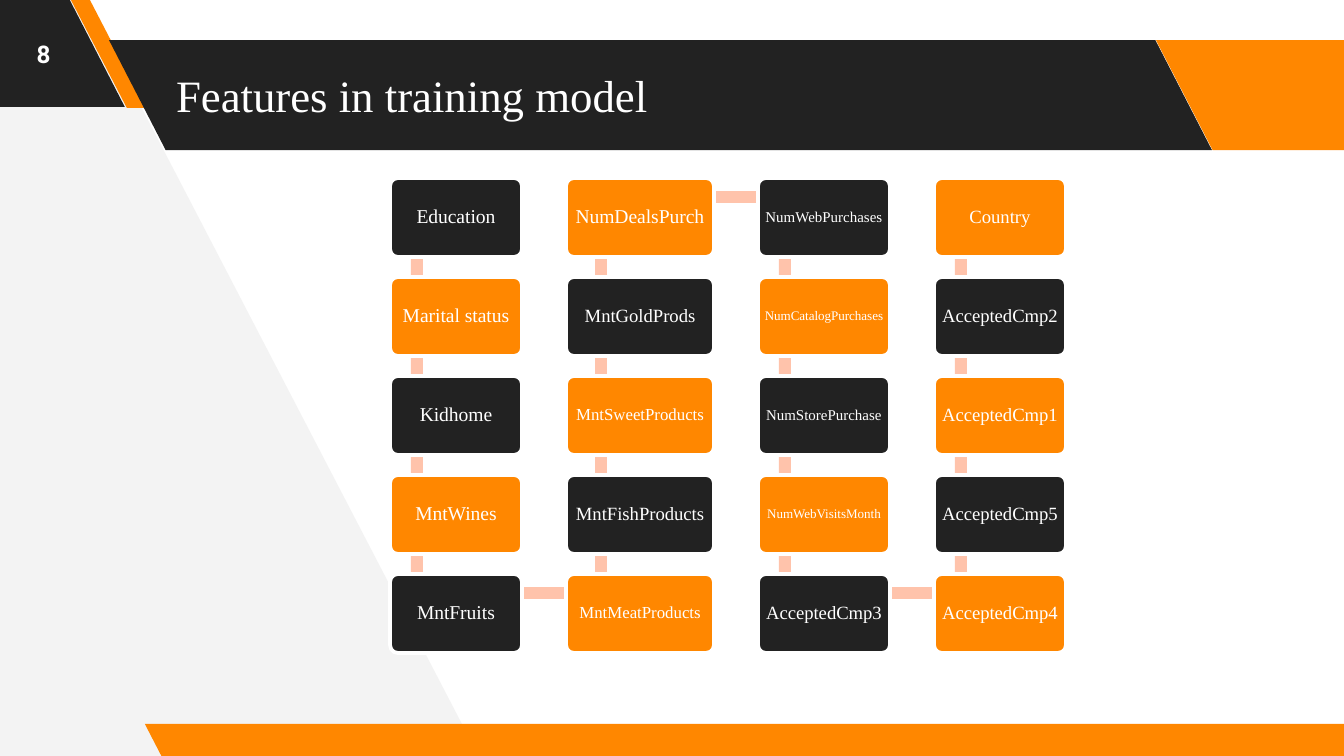
from itertools import pairwise

from pptx import Presentation
from pptx.dml.color import RGBColor
from pptx.enum.shapes import MSO_SHAPE
from pptx.enum.text import MSO_ANCHOR, MSO_AUTO_SIZE, PP_ALIGN
from pptx.util import Emu, Pt

SCALE = 914400 / 134.4
DARK = RGBColor(0x22, 0x22, 0x22)
ORANGE = RGBColor(0xFF, 0x87, 0x00)
PEACH = RGBColor(0xFF, 0xC3, 0xAB)
PALE = RGBColor(0xF3, 0xF3, 0xF3)
WHITE = RGBColor(0xFF, 0xFF, 0xFF)
SERIF = "Times New Roman"

TOP, ROW, HIGH = 178, 99, 79
LEFT, GAP = 390, 44
WIDTHS = [132, 148, 132, 132]
THICK = 12
COLUMNS = [
    [("Education", 10.5), ("Marital status", 10.5), ("Kidhome", 10.5),
     ("MntWines", 10.5), ("MntFruits", 10.5)],
    [("NumDealsPurch", 10.5), ("MntGoldProds", 10), ("MntSweetProducts", 9),
     ("MntFishProducts", 10), ("MntMeatProducts", 9)],
    [("NumWebPurchases", 8), ("NumCatalogPurchases", 7), ("NumStorePurchase", 8),
     ("NumWebVisitsMonth", 7), ("AcceptedCmp3", 10)],
    [("Country", 10), ("AcceptedCmp2", 10), ("AcceptedCmp1", 10),
     ("AcceptedCmp5", 10), ("AcceptedCmp4", 10)],
]
BANDS = [
    (-133, -3, 258, 110, 0.515, DARK),
    (70, -2, 76, 110, 0.75, ORANGE),
    (109, 40, 1103, 110, 0.515, DARK),
    (1156, 40, 258, 110, 0.515, ORANGE),
    (145, 724, 1230, 34, 0.515, ORANGE),
]


def px(n):
    return Emu(round(n * SCALE))


def write(shape, text, size, font=SERIF, bold=False, align=PP_ALIGN.CENTER,
          inset=13, space=None):
    frame = shape.text_frame
    frame.word_wrap = True
    frame.auto_size = MSO_AUTO_SIZE.NONE
    frame.vertical_anchor = MSO_ANCHOR.MIDDLE
    frame.margin_left = frame.margin_right = px(inset)
    frame.margin_top = frame.margin_bottom = px(inset)
    para = frame.paragraphs[0]
    para.alignment = align
    para.line_spacing = space
    run = para.add_run()
    run.text = text
    run.font.size = Pt(size)
    run.font.name = font
    run.font.bold = bold
    run.font.color.rgb = WHITE


def paint(shape, fill):
    shape.shadow.inherit = False
    shape.fill.solid()
    shape.fill.fore_color.rgb = fill
    shape.line.fill.background()


def block(slide, kind, x, y, w, h, fill):
    shape = slide.shapes.add_shape(kind, px(x), px(y), px(w), px(h))
    paint(shape, fill)
    return shape


def wedge(slide):
    path = slide.shapes.build_freeform(478, 755, scale=SCALE)
    path.add_line_segments([(83, -5), (-8, -5), (-3, 761)])
    paint(path.convert_to_shape(), PALE)


def band(slide, x, y, w, h, slant, fill):
    shape = block(slide, MSO_SHAPE.PARALLELOGRAM, x, y, w, h, fill)
    shape.adjustments[0] = slant
    shape.element.spPr.xfrm.set("flipH", "1")


def head(slide):
    title = slide.shapes.title
    title.left, title.top, title.width, title.height = map(px, (163, 40, 988, 110))
    write(title, "Features in training model", 24, align=PP_ALIGN.LEFT)
    slide.shapes.element.append(title.element)


def number(slide):
    box = slide.shapes.add_textbox(0, 0, px(87), px(108))
    write(box, "8", 13, font="Roboto", bold=True)


def link(slide, start, end):
    (x1, y1), (x2, y2) = start, end
    block(slide, MSO_SHAPE.RECTANGLE,
          min(x1, x2) - (THICK / 2 if x1 == x2 else 0),
          min(y1, y2) - (THICK / 2 if y1 == y2 else 0),
          abs(x2 - x1) or THICK, abs(y2 - y1) or THICK, PEACH)


def card(slide, x, y, w, fill, text, size):
    shape = block(slide, MSO_SHAPE.ROUNDED_RECTANGLE, x, y, w, HIGH, fill)
    shape.adjustments[0] = 0.1
    shape.line.color.rgb = WHITE
    shape.line.width = Pt(2)
    write(shape, text, size, inset=4, space=0.9)


def snake(slide):
    cards, joints = [], []
    x = LEFT
    for col, (names, wide) in enumerate(zip(COLUMNS, WIDTHS)):
        rows = list(enumerate(names))
        for row, (text, size) in rows[::-1] if col % 2 else rows:
            y = TOP + row * ROW
            fill = ORANGE if (row + col) % 2 else DARK
            cards.append((x, y, wide, fill, text, size))
            joints.append((x + wide / 2 - 39, y + 19))
        x += wide + GAP
    for start, end in pairwise(joints):
        link(slide, start, end)
    for item in cards:
        card(slide, *item)


def main():
    deck = Presentation()
    deck.slide_width, deck.slide_height = px(1344), px(756)
    slide = deck.slides.add_slide(deck.slide_layouts[5])
    wedge(slide)
    for item in BANDS:
        band(slide, *item)
    head(slide)
    number(slide)
    snake(slide)
    deck.save("out.pptx")


if __name__ == "__main__":
    main()
